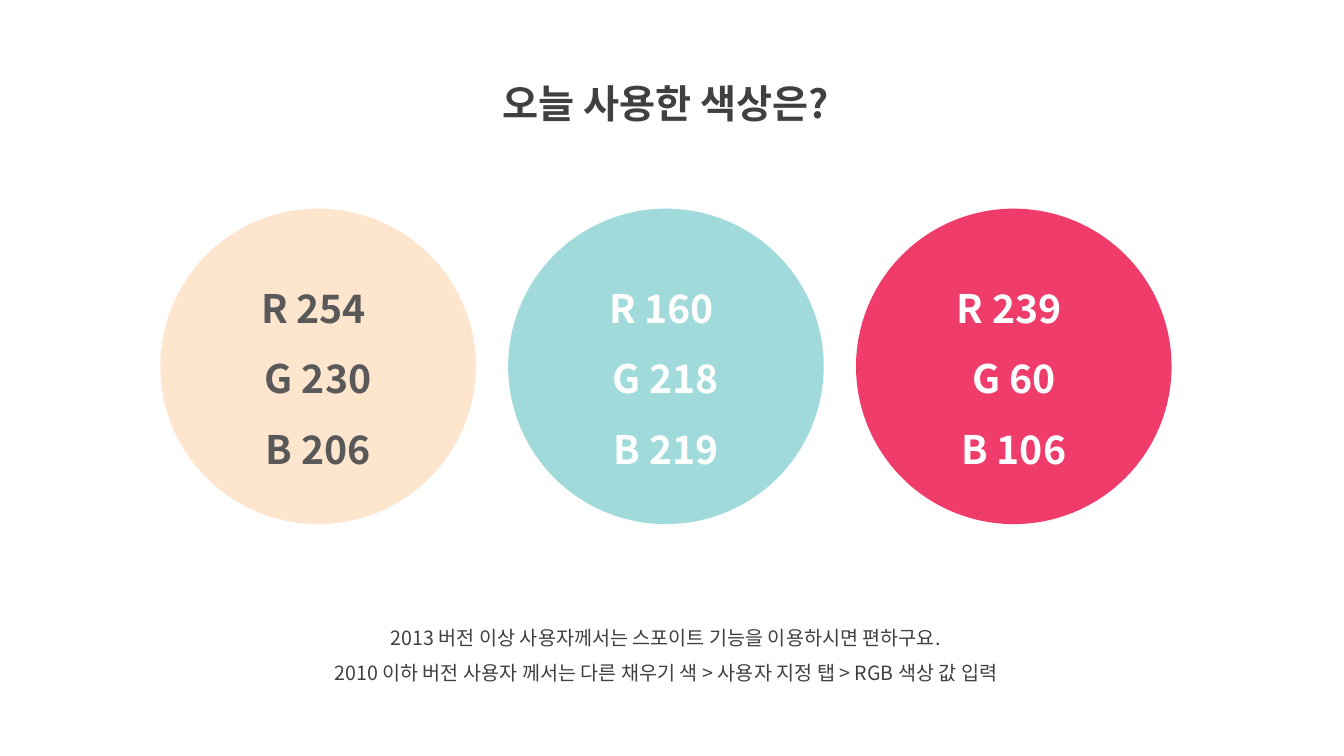
import pptx
import pptx.util
import pptx.dml.color
import pptx.enum.shapes
import pptx.enum.text
import lxml.etree
from dataclasses import dataclass
from pptx.util import Inches


@dataclass(frozen=True)
class Theme:
    font: str = "Noto Sans CJK KR"
    ink: str = "404040"
    gray: str = "595959"
    white: str = "FFFFFF"
    peach: str = "FEE6CE"
    mint: str = "A0DADB"
    pink: str = "EF3C6A"
    large: int = 28
    small: int = 14
    spacing: float = 1.5


THEME = Theme()


def rgb(code):
    return pptx.dml.color.RGBColor.from_string(code)


# Text: one paragraph per line, same format throughout
def write(frame, text, size=THEME.small, color=THEME.ink, bold=False,
          anchor=pptx.enum.text.MSO_ANCHOR.TOP):
    frame.word_wrap = True
    frame.auto_size = pptx.enum.text.MSO_AUTO_SIZE.NONE
    frame.vertical_anchor = anchor
    for i, line in enumerate(text.split("\n")):
        para = frame.paragraphs[0] if i == 0 else frame.add_paragraph()
        para.alignment = pptx.enum.text.PP_ALIGN.CENTER
        para.line_spacing = THEME.spacing
        para.space_before = pptx.util.Pt(0)
        run = para.add_run()
        run.text = line
        run.font.name = THEME.font
        run.font.size = pptx.util.Pt(size)
        run.font.bold = bold
        run.font.color.rgb = rgb(color)
        # Korean letters take the East Asian typeface
        asian = lxml.etree.SubElement(run._r.get_or_add_rPr(),
                                      pptx.oxml.ns.qn("a:ea"))
        asian.set("typeface", THEME.font)


def title(slide, text):
    box = slide.shapes.title
    box.left, box.top = Inches(4.29), Inches(0.5)
    box.width, box.height = Inches(4.63), Inches(0.72)
    write(box.text_frame, text, size=THEME.large, bold=True)


def note(slide, text):
    box = slide.shapes.add_textbox(Inches(2.61), Inches(6.04),
                                   Inches(7.99), Inches(0.81))
    write(box.text_frame, text)


def swatch(slide, left, fill, color, text):
    disc = slide.shapes.add_shape(pptx.enum.shapes.MSO_SHAPE.OVAL,
                                  Inches(left), Inches(2.07),
                                  Inches(3.13), Inches(3.13))
    disc.shadow.inherit = False
    disc.fill.solid()
    disc.fill.fore_color.rgb = rgb(fill)
    disc.line.fill.background()
    write(disc.text_frame, text, size=THEME.large, color=color, bold=True,
          anchor=pptx.enum.text.MSO_ANCHOR.MIDDLE)


def main():
    deck = pptx.Presentation()
    deck.slide_width, deck.slide_height = Inches(13.33), Inches(7.5)
    slide = deck.slides.add_slide(deck.slide_layouts.get_by_name("Title Only"))

    # Heading
    title(slide, "오늘 사용한 색상은?")

    # Colour circles, evenly spaced
    swatches = [
        (THEME.peach, THEME.gray, "R 254 \nG 230\nB 206"),
        (THEME.mint, THEME.white, "R 160 \nG 218\nB 219"),
        (THEME.pink, THEME.white, "R 239 \nG 60\nB 106"),
    ]
    for i, (fill, color, text) in enumerate(swatches):
        swatch(slide, 1.59 + 3.45 * i, fill, color, text)

    # Usage note
    note(slide, "2013 버전 이상 사용자께서는 스포이트 기능을 이용하시면 편하구요.\n"
                "2010 이하 버전 사용자 께서는 다른 채우기 색 > 사용자 지정 탭 > RGB 색상 값 입력")

    deck.save("out.pptx")


if __name__ == "__main__":
    main()
